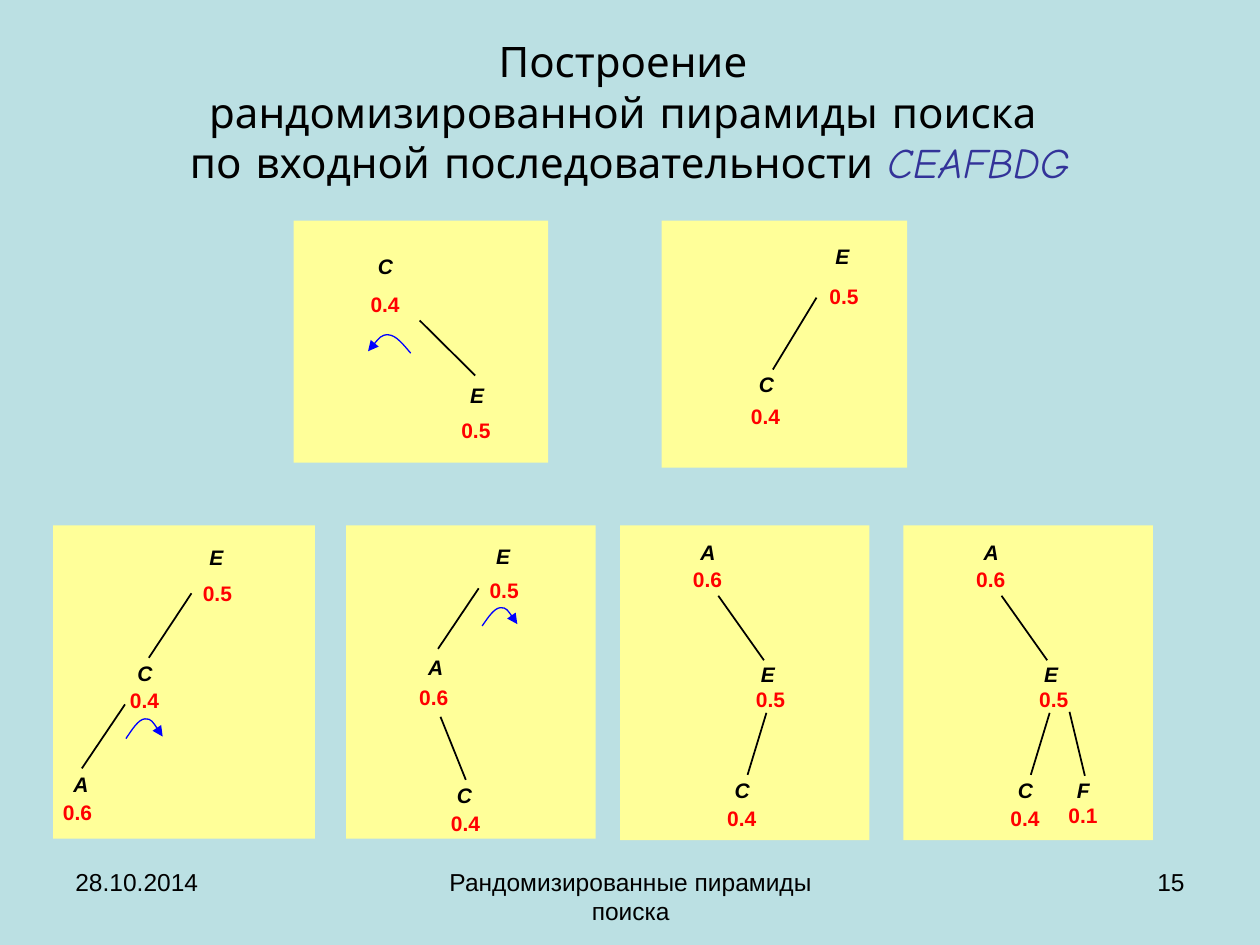
from lxml.etree import SubElement
from pptx import Presentation
from pptx.dml.color import RGBColor
from pptx.enum.shapes import MSO_CONNECTOR, MSO_SHAPE
from pptx.enum.text import MSO_ANCHOR, PP_ALIGN
from pptx.oxml.ns import qn
from pptx.util import Cm, Pt

BACKGROUND, PANEL, BLACK, RED, BLUE, INDIGO = (
    "BBE0E3", "FFFF99", "000000", "FF0000", "0000FF", "333399")

KEY_FORMAT = {"name": "Arial", "size": Pt(12), "bold": True, "italic": True}
PRIORITY_FORMAT = {"name": "Arial", "size": Pt(12), "bold": True}
FOOTER_FORMAT = {"name": "Arial", "size": Pt(14)}
TITLE_FORMAT = {"name": "Comic Neue", "size": Pt(24)}

TITLE_LINES = ["Построение ", "рандомизированной пирамиды поиска ",
               "по входной последовательности "]

# Rotation arc as fractions of its box: start point, then two Bézier segments
ARC = [(0, 1), (0.17, 0.55), (0.34, 0.05), (0.52, 0.03),
       (0.69, 0), (0.83, 0.44), (1, 0.9)]

# Positions within a panel, in cm. Nodes: key, its place, priority, its place
AEC_NODES = [("A", (1.57, 0.25), "0.6", (1.42, 0.81)),
             ("E", (2.79, 2.72), "0.5", (2.69, 3.23)),
             ("C", (2.26, 5.05), "0.4", (2.11, 5.61))]
AEC_EDGES = [(1.98, 1.42, 2.9, 2.72), (2.95, 3.78, 2.57, 5.03)]
TOP_ROW, BOTTOM_ROW = 4.45, 10.59
LARGE, MEDIUM, SMALL = (0.53, 0.86, 0.72), (0.5, 0.79, 0.64), (0.47, 0.76, 0.58)

TREES = [
    {"box": (13.34, TOP_ROW, 4.95, 4.98), "label": LARGE,
     "nodes": [("E", (3.45, 0.43), "0.5", (3.33, 1.24)),
               ("C", (1.91, 3.02), "0.4", (1.75, 3.66))],
     "edges": [(3.12, 1.55, 2.24, 3)]},
    {"box": (1.07, BOTTOM_ROW, 5.28, 6.32), "label": MEDIUM,
     "nodes": [("E", (3.1, 0.36), "0.5", (2.97, 1.09)),
               ("C", (1.65, 2.69), "0.4", (1.5, 3.25)),
               ("A", (0.36, 4.93), "0.6", (0.15, 5.49))],
     "edges": [(2.79, 1.37, 1.93, 2.67), (1.45, 3.61, 0.58, 4.9)],
     "arc": (1.47, 3.89, 0.74, 0.41)},
    {"box": (6.98, BOTTOM_ROW, 5.03, 6.32), "label": SMALL,
     "nodes": [("E", (2.97, 0.33), "0.5", (2.84, 1.02)),
               ("A", (1.6, 2.57), "0.6", (1.42, 3.18)),
               ("C", (2.18, 5.16), "0.4", (2.06, 5.72))],
     "edges": [(2.67, 1.27, 1.85, 2.49), (1.9, 3.86, 2.41, 5.13)],
     "arc": (2.74, 1.65, 0.71, 0.38)},
    {"box": (12.5, BOTTOM_ROW, 5.03, 6.35), "label": SMALL,
     "nodes": AEC_NODES, "edges": AEC_EDGES},
    {"box": (18.21, BOTTOM_ROW, 5.03, 6.35), "label": SMALL,
     "nodes": AEC_NODES + [("F", (3.45, 5.05), "0.1", (3.28, 5.56))],
     "edges": AEC_EDGES + [(3.35, 3.76, 3.66, 5.05)]},
    {"box": (5.92, TOP_ROW, 5.13, 4.88), "label": LARGE,
     "nodes": [("C", (1.65, 0.64), "0.4", (1.5, 1.4)),
               ("E", (3.51, 3.23), "0.5", (3.33, 3.94))],
     "edges": [(2.54, 2.01, 3.66, 3.12)],
     "arc": (1.5, 2.29, 0.86, 0.38), "leftward": True},
]


def color(value):
    return RGBColor.from_string(value)


def add_run(p, text, format_values, hex_color):
    r = p.add_run()
    r.text = text
    for name, value in format_values.items():
        setattr(r.font, name, value)
    r.font.color.rgb = color(hex_color)


def add_rect(s, x, y, w, h):
    sp = s.shapes.add_shape(MSO_SHAPE.RECTANGLE, Cm(x), Cm(y), Cm(w), Cm(h))
    sp.shadow.inherit = False
    sp.fill.solid()
    sp.fill.fore_color.rgb = color(PANEL)
    sp.line.fill.background()
    return sp


def add_label(s, x, y, w, h, text, format_values, hex_color):
    tf = add_rect(s, x, y, w, h).text_frame
    tf.margin_left = tf.margin_right = Cm(0.05)
    tf.margin_top = tf.margin_bottom = Cm(0.03)
    tf.vertical_anchor = MSO_ANCHOR.TOP
    tf.word_wrap = True
    p = tf.paragraphs[0]
    p.alignment = PP_ALIGN.LEFT
    add_run(p, text, format_values, hex_color)


def add_edge(s, x1, y1, x2, y2):
    line = s.shapes.add_connector(MSO_CONNECTOR.STRAIGHT,
                                  Cm(x1), Cm(y1), Cm(x2), Cm(y2))
    line.line.color.rgb = color(BLACK)
    line.line.width = Pt(1)
    SubElement(line._element.spPr, qn("a:effectLst"))


def add_rotation_arc(s, x, y, w, h, leftward):
    points = [(Cm(x + w * (1 - fx if leftward else fx)), Cm(y + h * fy))
              for fx, fy in ARC]
    builder = s.shapes.build_freeform(*points[0])
    builder.add_line_segments(points[1:], close=False)
    sp = builder.convert_to_shape()
    # Regroup every three straight segments into one Bézier segment
    outline = sp._element.find(".//" + qn("a:path"))
    segments = outline.findall(qn("a:lnTo"))
    for i in range(0, len(segments), 3):
        curve = SubElement(outline, qn("a:cubicBezTo"))
        for segment in segments[i:i + 3]:
            curve.append(segment[0])
            outline.remove(segment)
    sp.shadow.inherit = False
    sp.fill.solid()
    sp.fill.fore_color.rgb = color(PANEL)
    sp.line.color.rgb = color(BLUE)
    sp.line.width = Pt(0.75)
    SubElement(sp.line._get_or_add_ln(), qn("a:tailEnd"), type="triangle")


def add_tree(s, tree):
    left, top, width, height = tree["box"]
    key_w, priority_w, label_h = tree["label"]
    add_rect(s, left, top, width, height)
    for key, (kx, ky), priority, (px, py) in tree["nodes"]:
        add_label(s, left + kx, top + ky, key_w, label_h,
                  key, KEY_FORMAT, BLACK)
        add_label(s, left + px, top + py, priority_w, label_h,
                  priority, PRIORITY_FORMAT, RED)
    for x1, y1, x2, y2 in tree["edges"]:
        add_edge(s, left + x1, top + y1, left + x2, top + y2)
    if "arc" in tree:
        x, y, w, h = tree["arc"]
        add_rotation_arc(s, left + x, top + y, w, h, tree.get("leftward", False))


def add_text_box(s, x, y, w, h, alignment):
    tf = s.shapes.add_textbox(Cm(x), Cm(y), Cm(w), Cm(h)).text_frame
    tf.word_wrap = True
    tf.paragraphs[0].alignment = alignment
    return tf


def add_title(s):
    tf = add_text_box(s, 1.27, 0.56, 22.86, 3.38, PP_ALIGN.CENTER)
    tf.vertical_anchor = MSO_ANCHOR.MIDDLE
    p = tf.paragraphs[0]
    for i, text in enumerate(TITLE_LINES):
        if i:
            p.add_line_break()
        add_run(p, text, TITLE_FORMAT, BLACK)
    add_run(p, "CEAFBDG", {**TITLE_FORMAT, "italic": True}, INDIGO)


def add_footer(s):
    for x, w, alignment, text in [
            (1.27, 5.92, PP_ALIGN.LEFT, "28.10.2014"),
            (8.69, 8.05, PP_ALIGN.CENTER, "Рандомизированные пирамиды поиска"),
            (18.21, 5.92, PP_ALIGN.RIGHT, "15")]:
        tf = add_text_box(s, x, 17.35, w, 1.32, alignment)
        add_run(tf.paragraphs[0], text, FOOTER_FORMAT, BLACK)


def main():
    prs = Presentation()
    prs.slide_width, prs.slide_height = Cm(25.4), Cm(19.05)
    s = prs.slides.add_slide(prs.slide_layouts[6])
    s.background.fill.solid()
    s.background.fill.fore_color.rgb = color(BACKGROUND)
    add_footer(s)
    add_title(s)
    for tree in TREES:
        add_tree(s, tree)
    prs.save("out.pptx")


if __name__ == "__main__":
    main()
